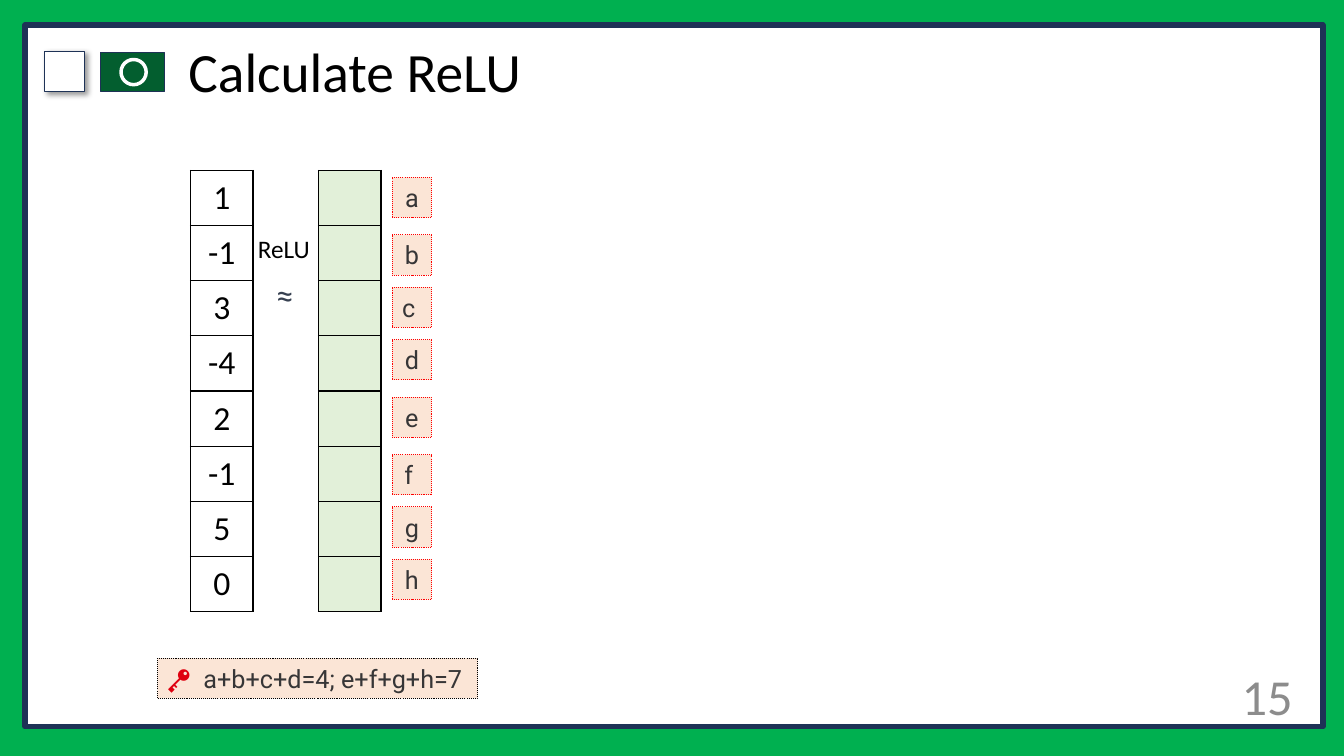
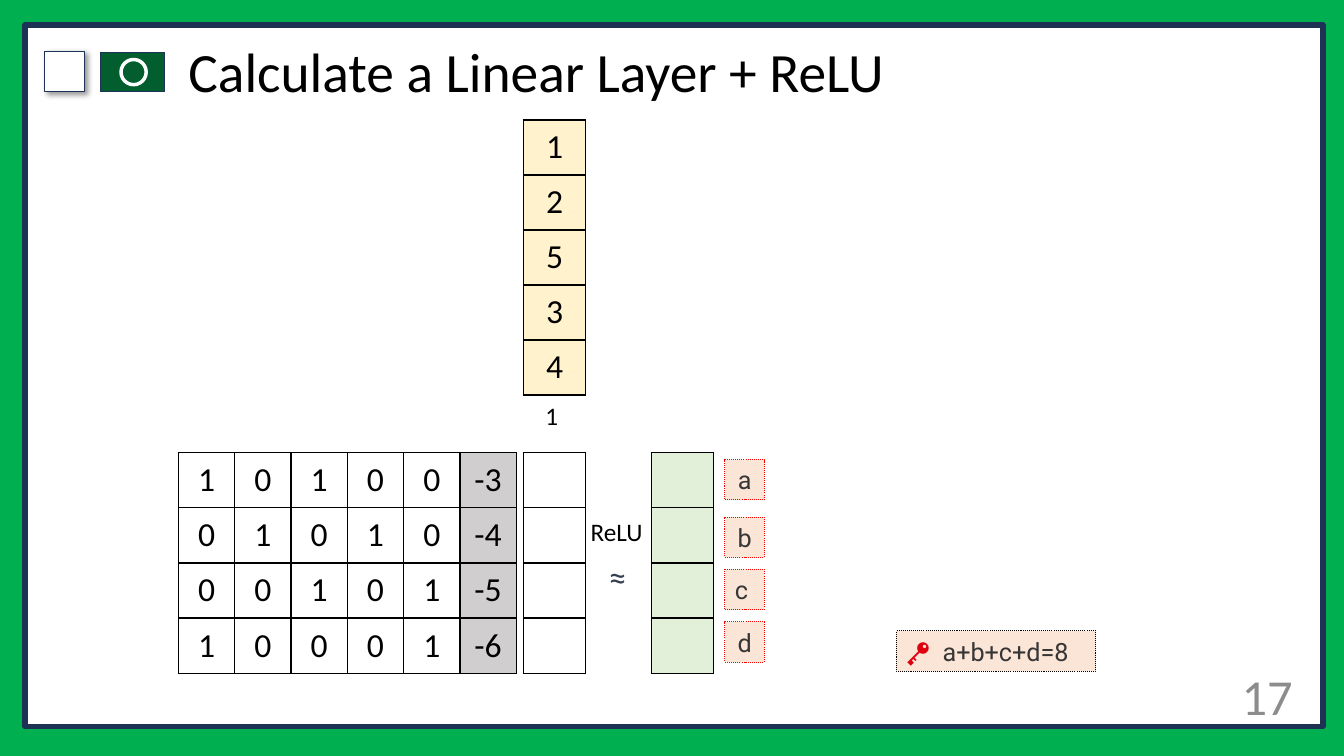
from dataclasses import dataclass
from typing import Optional

import pptx
import pptx.dml.color
import pptx.enum.dml
import pptx.enum.shapes
import pptx.enum.text
import pptx.oxml
import pptx.oxml.ns
import pptx.slide
import pptx.util
from pptx.dml.color import RGBColor

# One inch is 100 px
EMU_PER_PX = 9144

# Colours
GREEN = RGBColor(0x00, 0xB0, 0x50)
NAVY = RGBColor(0x1E, 0x32, 0x56)
DARK_GREEN = RGBColor(0x03, 0x5E, 0x2F)
WHITE = RGBColor(0xFF, 0xFF, 0xFF)
BLACK = RGBColor(0x00, 0x00, 0x00)
GREY = RGBColor(0x8C, 0x8C, 0x8C)
SLATE = RGBColor(0x37, 0x41, 0x51)
CHARCOAL = RGBColor(0x37, 0x36, 0x37)
RED = RGBColor(0xFF, 0x00, 0x00)
KEY_RED = RGBColor(0xDF, 0x00, 0x0F)
PEACH = RGBColor(0xFB, 0xE5, 0xD6)
MINT = RGBColor(0xE2, 0xF0, 0xD9)
CREAM = RGBColor(0xFF, 0xF2, 0xCC)
SILVER = RGBColor(0xD0, 0xCE, 0xCE)

SHAPE = pptx.enum.shapes.MSO_SHAPE
ALIGN = pptx.enum.text.PP_ALIGN
ANCHOR = pptx.enum.text.MSO_ANCHOR


@dataclass(frozen=True)
class Frame:
    left: int
    top: int
    width: int
    height: int

    def emu(self) -> tuple[int, int, int, int]:
        return px(self.left), px(self.top), px(self.width), px(self.height)


@dataclass(frozen=True)
class TextStyle:
    font: str
    size: float
    color: RGBColor


@dataclass(frozen=True)
class Span:
    text: str
    style: TextStyle


@dataclass(frozen=True)
class Panel:
    """A preset shape of the slide frame."""
    kind: SHAPE
    frame: Frame
    fill: RGBColor
    line: RGBColor
    weight: float
    shadow: bool = False


# Text styles
TITLE = TextStyle("Calibri", 39.6, BLACK)
NUMBER = TextStyle("Calibri", 36, GREY)
CELL = TextStyle("Calibri", 24, BLACK)
LABEL = TextStyle("Calibri", 18, BLACK)
SYMBOL = TextStyle("Lato", 24, SLATE)
ANSWER = TextStyle("Roboto", 18, CHARCOAL)
KEY = TextStyle("Roboto", 18, KEY_RED)

# Frame shared by all slides
PANELS = (
    Panel(SHAPE.RECTANGLE, Frame(25, 25, 1287, 696), WHITE, NAVY, 4),
    Panel(SHAPE.RECTANGLE, Frame(44, 51, 40, 40), WHITE, NAVY, 1, shadow=True),
    Panel(SHAPE.RECTANGLE, Frame(100, 52, 63, 39), DARK_GREEN, NAVY, 1),
    Panel(SHAPE.OVAL, Frame(120, 59, 25, 25), DARK_GREEN, WHITE, 2.5),
)

# Answer boxes stand in groups of four
GROUP_OFFSETS = (0, 57, 109, 161)
GROUP_STEP = 218
COLUMN_WIDTH = 62


def px(length: int) -> int:
    return pptx.util.Emu(length * EMU_PER_PX)


def write(box, spans: list[Span], align: ALIGN = ALIGN.LEFT,
          anchor: ANCHOR = ANCHOR.TOP, wrap: bool = True, grow: bool = True):
    frame = box.text_frame
    frame.word_wrap = wrap
    frame.vertical_anchor = anchor
    if grow:
        frame.auto_size = pptx.enum.text.MSO_AUTO_SIZE.SHAPE_TO_FIT_TEXT
    para = frame.paragraphs[0]
    para.alignment = align
    add_spans(para, spans)
    return para


def add_spans(para, spans: list[Span]) -> None:
    for span in spans:
        run = para.add_run()
        run.text = span.text
        run.font.name = span.style.font
        run.font.size = pptx.util.Pt(span.style.size)
        run.font.color.rgb = span.style.color


def add_text(page: pptx.slide.Slide, frame: Frame, text: str, style: TextStyle, **options):
    box = page.shapes.add_textbox(*frame.emu())
    return write(box, [Span(text, style)], **options)


def add_panel(page: pptx.slide.Slide, panel: Panel):
    box = page.shapes.add_shape(panel.kind, *panel.frame.emu())
    box.shadow.inherit = False
    box.fill.solid()
    box.fill.fore_color.rgb = panel.fill
    box.line.color.rgb = panel.line
    box.line.width = pptx.util.Pt(panel.weight)
    if panel.shadow:
        effects = box._element.spPr.find(pptx.oxml.ns.qn("a:effectLst"))
        effects.append(pptx.oxml.parse_xml(
            f'<a:outerShdw {pptx.oxml.ns.nsdecls("a")} blurRad="50800" dist="38100" '
            f'dir="2700000"><a:srgbClr val="{BLACK}"><a:alpha val="40000"/>'
            '</a:srgbClr></a:outerShdw>'))
    return box


def add_answer(page: pptx.slide.Slide, frame: Frame, line: RGBColor,
               spans: list[Span], align: ALIGN):
    box = add_panel(page, Panel(SHAPE.RECTANGLE, frame, PEACH, line, 0.75))
    box.line.dash_style = pptx.enum.dml.MSO_LINE.ROUND_DOT
    return write(box, spans, align)


def add_key(page: pptx.slide.Slide, frame: Frame, text: str) -> None:
    spans = [Span("🔑\t", KEY), Span(text, ANSWER)]
    para = add_answer(page, frame, BLACK, spans, ALIGN.LEFT)
    para._p.get_or_add_pPr().append(pptx.oxml.parse_xml(
        f'<a:tabLst {pptx.oxml.ns.nsdecls("a")}><a:tab pos="{px(36)}" algn="l"/></a:tabLst>'))


def add_matrix(page: pptx.slide.Slide, frame: Frame, rows: list[list[str]],
               fill: Optional[RGBColor] = None,
               last_fill: Optional[RGBColor] = None) -> None:
    """Draw a bordered grid; last_fill colours the last column."""
    table = page.shapes.add_table(len(rows), len(rows[0]), *frame.emu()).table
    table.first_row = False
    table.horz_banding = False
    for row_index, row in enumerate(rows):
        for column_index, text in enumerate(row):
            cell = table.cell(row_index, column_index)
            is_last = column_index == len(row) - 1
            color = last_fill if is_last and last_fill else fill
            if color:
                cell.fill.solid()
                cell.fill.fore_color.rgb = color
            else:
                cell.fill.background()
            cell.margin_left = cell.margin_right = px(9)
            cell.margin_top = cell.margin_bottom = px(4)
            cell.vertical_anchor = ANCHOR.MIDDLE
            para = cell.text_frame.paragraphs[0]
            para.alignment = ALIGN.CENTER
            if text:
                add_spans(para, [Span(text, CELL)])
            add_borders(cell)


def add_borders(cell) -> None:
    properties = cell._tc.get_or_add_tcPr()
    for position, side in enumerate(("lnL", "lnR", "lnT", "lnB")):
        properties.insert(position, pptx.oxml.parse_xml(
            f'<a:{side} {pptx.oxml.ns.nsdecls("a")} w="12700"><a:solidFill>'
            f'<a:srgbClr val="{BLACK}"/></a:solidFill></a:{side}>'))


def column(values: list[str]) -> list[list[str]]:
    return [[value] for value in values]


def add_relu(page: pptx.slide.Slide, left: int, top: int, height: int,
             values: list[str], letters: str) -> None:
    """Draw the input column, the ReLU sign, the output column and its answers."""
    output = left + 127
    add_matrix(page, Frame(left, top, COLUMN_WIDTH, height), column(values))
    add_matrix(page, Frame(output, top, COLUMN_WIDTH, height),
               column([""] * len(values)), MINT)
    add_text(page, Frame(output - 70, top + 58, 72, 40), "ReLU", LABEL)
    add_text(page, Frame(output - 53, top + 99, 35, 50), "≈", SYMBOL)
    for index, letter in enumerate(letters):
        group, place = divmod(index, len(GROUP_OFFSETS))
        offset = group * GROUP_STEP + GROUP_OFFSETS[place]
        add_answer(page, Frame(output + 73, top + 7 + offset, 39, 40), RED,
                   [Span(letter + " ", ANSWER)], ALIGN.CENTER)


def add_page(deck, title: str, number: int) -> pptx.slide.Slide:
    page = deck.slides.add_slide(deck.slide_layouts[6])
    page.background.fill.solid()
    page.background.fill.fore_color.rgb = GREEN
    for panel in PANELS:
        add_panel(page, panel)
    para = add_text(page, Frame(177, 40, 1065, 68), title, TITLE,
                    anchor=ANCHOR.MIDDLE, grow=False)
    para.line_spacing = 0.9
    add_text(page, Frame(1167, 647, 125, 86), str(number), NUMBER,
             align=ALIGN.RIGHT, anchor=ANCHOR.MIDDLE, grow=False)
    return page


def build_relu_page(deck) -> None:
    page = add_page(deck, "Calculate ReLU", 15)
    add_relu(page, 189, 169, 438, "1 -1 3 -4 2 -1 5 0".split(), "abcdefgh")
    add_key(page, Frame(156, 653, 318, 40), "a+b+c+d=4; e+f+g+h=7")


def build_linear_page(deck) -> None:
    page = add_page(deck, "Calculate a Linear Layer + ReLU", 17)
    # Input vector with the constant for the bias
    add_matrix(page, Frame(519, 119, COLUMN_WIDTH, 273), column(list("12534")), CREAM)
    add_text(page, Frame(531, 392, 33, 40), "1", LABEL, wrap=False)
    # Weights, with the bias as the last column
    weights = ["1 0 1 0 0 -3", "0 1 0 1 0 -4", "0 0 1 0 1 -5", "1 0 0 0 1 -6"]
    add_matrix(page, Frame(177, 449, 335, 219), [row.split() for row in weights],
               last_fill=SILVER)
    add_relu(page, 519, 449, 219, [""] * len(weights), "abcd")
    add_key(page, Frame(889, 626, 198, 40), "a+b+c+d=8")


def main() -> None:
    deck = pptx.Presentation()
    deck.slide_width = px(1333)
    deck.slide_height = px(750)
    build_relu_page(deck)
    build_linear_page(deck)
    deck.save("out.pptx")


if __name__ == "__main__":
    main()
